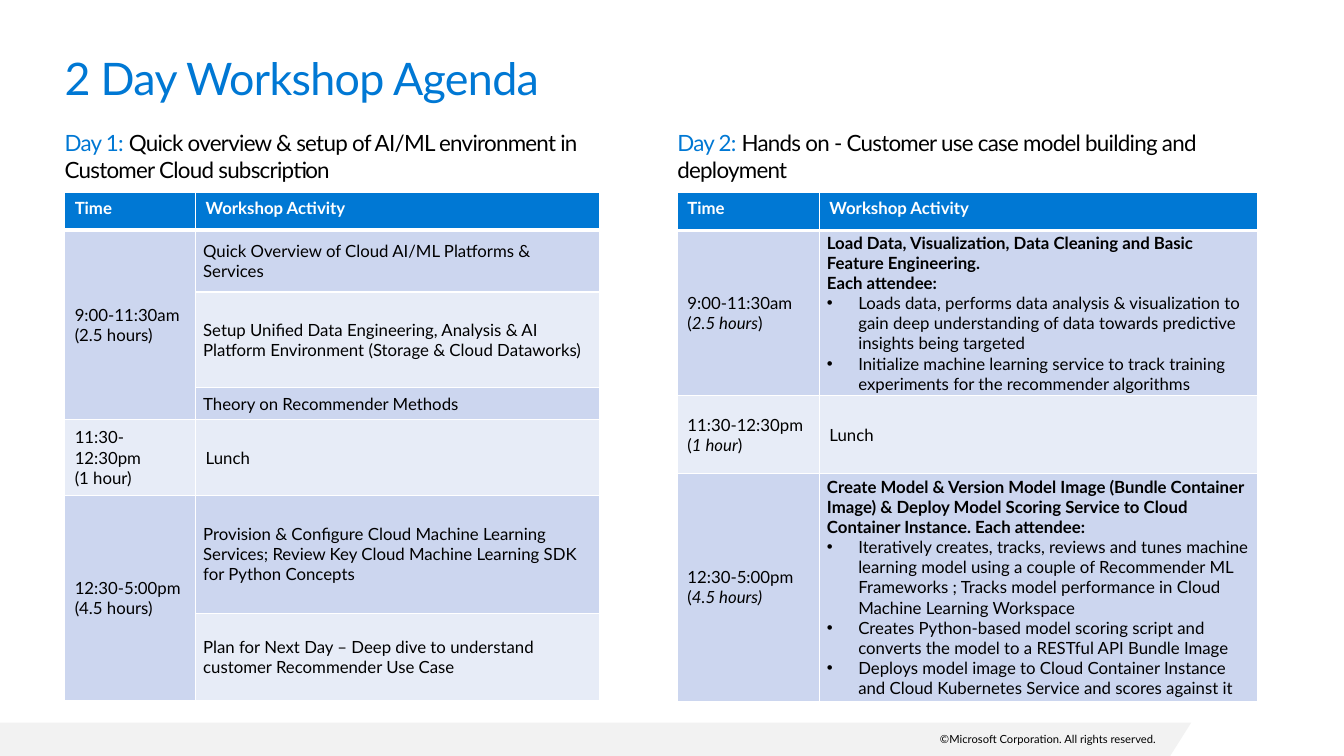
from dataclasses import dataclass

from lxml.etree import SubElement
from pptx import Presentation
from pptx.dml.color import RGBColor
from pptx.enum.text import MSO_ANCHOR, MSO_AUTO_SIZE, PP_ALIGN
from pptx.oxml.ns import qn
from pptx.util import Cm, Pt


@dataclass(frozen=True)
class Theme:
    font: str = "Lato"
    accent: str = "0078D4"
    text: str = "000000"
    white: str = "FFFFFF"
    band_odd: str = "CCD6EF"
    band_even: str = "E7ECF7"
    footer: str = "F2F2F2"
    title_size: int = 32
    heading_size: int = 16
    table_size: int = 12
    footer_size: int = 8


@dataclass(frozen=True)
class Run:
    text: str
    bold: bool = False
    italic: bool = False
    color: str = ""


@dataclass(frozen=True)
class Line:
    runs: tuple
    bullet: bool = False


THEME = Theme()
TOP_HEADING, TOP_TABLE = 3.25, 4.85
LEFT_DAY_1, LEFT_DAY_2 = 1.63, 17.07
HEADER = ("Time", "Workshop Activity")


def plain(text):
    return Line((Run(text),))


def strong(text):
    return Line((Run(text, bold=True),))


def bullet(text):
    return Line((Run(text),), bullet=True)


def hours(opening, italic, closing=""):
    runs = (Run(opening), Run(italic, italic=True), Run(closing))
    return Line(tuple(run for run in runs if run.text))


DAY_1 = (
    ((plain("9:00-11:30am"), plain("(2.5 hours)")),
     (plain("Quick Overview of Cloud AI/ML Platforms & Services"),)),
    (None, (plain("Setup Unified Data Engineering, Analysis & AI Platform "
                  "Environment (Storage & Cloud Dataworks)"),)),
    (None, (plain("Theory on Recommender Methods"),)),
    ((plain("11:30-12:30pm"), plain("(1 hour)")), (plain("Lunch"),)),
    ((plain("12:30-5:00pm"), plain("(4.5 hours)")),
     (plain("Provision & Configure Cloud Machine Learning Services; Review Key "
            "Cloud Machine Learning SDK for Python Concepts"),)),
    (None, (plain("Plan for Next Day – Deep dive to understand customer "
                  "Recommender Use Case"),)),
)
DAY_2 = (
    ((plain("9:00-11:30am"), hours("(", "2.5 hours", ")")),
     (strong("Load Data, Visualization, Data Cleaning and Basic Feature Engineering."),
      strong("Each attendee:"),
      bullet("Loads data, performs data analysis & visualization to gain deep "
             "understanding of data towards predictive insights being targeted"),
      bullet("Initialize machine learning service to track training experiments "
             "for the recommender algorithms"))),
    ((plain("11:30-12:30pm"), hours("(", "1 hour", ")")), (plain("Lunch"),)),
    ((plain("12:30-5:00pm"), hours("(", "4.5 hours)")),
     (strong("Create Model & Version Model Image (Bundle Container Image) & Deploy "
             "Model Scoring Service to Cloud Container Instance. Each attendee:"),
      bullet("Iteratively creates, tracks, reviews and tunes machine learning model "
             "using a couple of Recommender ML Frameworks ; Tracks model performance "
             "in Cloud Machine Learning Workspace"),
      bullet("Creates Python-based model scoring script and converts the model to a "
             "RESTful API Bundle Image"),
      bullet("Deploys model image to Cloud Container Instance and Cloud Kubernetes "
             "Service and scores against it"))),
)


def apply(target, values):
    for name, value in values.items():
        setattr(target, name, value)


def paint(fill, color):
    fill.solid()
    fill.fore_color.rgb = RGBColor.from_string(color)


def write_lines(frame, lines, size, color, spacing=None):
    for index, line in enumerate(lines):
        paragraph = frame.paragraphs[0] if index == 0 else frame.add_paragraph()
        if line.bullet:
            properties = paragraph._p.get_or_add_pPr()
            properties.set("marL", str(Cm(0.79)))
            properties.set("indent", str(Cm(-0.79)))
            SubElement(properties, qn("a:buFont")).set("typeface", "Arial")
            SubElement(properties, qn("a:buChar")).set("char", "•")
        for part in line.runs:
            run = paragraph.add_run()
            run.text = part.text
            apply(run.font, {"name": THEME.font, "size": Pt(size),
                             "bold": part.bold, "italic": part.italic})
            run.font.color.rgb = RGBColor.from_string(part.color or color)
            if spacing:
                run.font._element.set("spc", str(spacing))


def add_text(slide, bounds, line, size, color, spacing=None):
    frame = slide.shapes.add_textbox(*map(Cm, bounds)).text_frame
    apply(frame, {"margin_left": 0, "margin_right": 0, "margin_top": 0,
                  "margin_bottom": 0, "word_wrap": True,
                  "auto_size": MSO_AUTO_SIZE.SHAPE_TO_FIT_TEXT})
    write_lines(frame, (line,), size, color, spacing)
    return frame.paragraphs[0]


def style_cell(cell, row):
    properties = cell._tc.get_or_add_tcPr()
    widths = {"L": 1, "R": 1, "T": 3 if row == 1 else 1, "B": 3 if row == 0 else 1}
    for side, width in widths.items():
        border = SubElement(properties, qn(f"a:ln{side}"), w=str(Pt(width)))
        solid = SubElement(border, qn("a:solidFill"))
        SubElement(solid, qn("a:srgbClr"), val=THEME.white)
    band = THEME.band_odd if row % 2 else THEME.band_even
    paint(cell.fill, band if row else THEME.accent)


def fill_cell(cell, lines, tight=False):
    cell.vertical_anchor = MSO_ANCHOR.MIDDLE
    if tight:
        apply(cell, {"margin_left": Cm(0.19), "margin_right": Cm(0.19),
                     "margin_top": 0, "margin_bottom": 0})
    write_lines(cell.text_frame, lines, THEME.table_size, THEME.text)


def add_agenda(slide, left, columns, heights, sessions):
    shape = slide.shapes.add_table(
        len(heights), len(columns), Cm(left), Cm(TOP_TABLE),
        Cm(sum(columns)), Cm(sum(heights)))
    table = shape.table
    table.horz_banding = False
    for column, width in zip(table.columns, columns):
        column.width = Cm(width)
    for index, (row, height) in enumerate(zip(table.rows, heights)):
        row.height = Cm(height)
        for cell in row.cells:
            style_cell(cell, index)
    for column, label in enumerate(HEADER):
        write_lines(table.cell(0, column).text_frame, (strong(label),),
                    THEME.table_size, THEME.white)
    starts = [row for row, (time, _) in enumerate(sessions, 1) if time]
    for start, following in zip(starts, starts[1:] + [len(heights)]):
        if following - start > 1:
            table.cell(start, 0).merge(table.cell(following - 1, 0))
    for row, (time, activity) in enumerate(sessions, 1):
        if time:
            fill_cell(table.cell(row, 0), time)
        fill_cell(table.cell(row, 1), activity, tight=activity != (plain("Lunch"),))


def add_day(slide, left, label, topic, columns, heights, sessions):
    heading = Line((Run(label, color=THEME.accent), Run(topic)))
    add_agenda(slide, left, columns, heights, sessions)
    add_text(slide, (left, TOP_HEADING, sum(columns), 1.37), heading,
             THEME.heading_size, THEME.text, -50)


def add_footer(slide):
    builder = slide.shapes.build_freeform(Cm(0), Cm(18.21))
    corners = ((30.02, 18.21), (29.49, 19.05), (0, 19.05))
    builder.add_line_segments([(Cm(x), Cm(y)) for x, y in corners], close=True)
    shape = builder.convert_to_shape()
    shape.shadow.inherit = False
    paint(shape.fill, THEME.footer)
    shape.line.fill.background()
    paragraph = add_text(slide, (23.55, 18.49, 5.59, 0.3),
                         plain("©Microsoft Corporation. All rights reserved."),
                         THEME.footer_size, THEME.text)
    apply(paragraph, {"alignment": PP_ALIGN.RIGHT, "line_spacing": 0.9,
                      "space_after": Pt(6)})


def main():
    presentation = Presentation()
    apply(presentation, {"slide_width": Cm(33.87), "slide_height": Cm(19.05)})
    slide = presentation.slides.add_slide(presentation.slide_layouts[6])
    add_footer(slide)
    add_text(slide, (LEFT_DAY_1, 1.27, 30.61, 1.37), plain("2 Day Workshop Agenda"),
             THEME.title_size, THEME.accent, -50)
    add_day(slide, LEFT_DAY_1, "Day 1: ",
            "Quick overview & setup of AI/ML environment in Customer Cloud subscription",
            (3.3, 10.19), (0.94, 1.57, 2.41, 0.81, 1.9, 2.97, 2.21), DAY_1)
    add_day(slide, LEFT_DAY_2, "Day 2: ",
            "Hands on - Customer use case model building and deployment",
            (3.58, 11.04), (0.96, 4.16, 1.96, 5.74), DAY_2)
    presentation.save("out.pptx")


if __name__ == "__main__":
    main()
